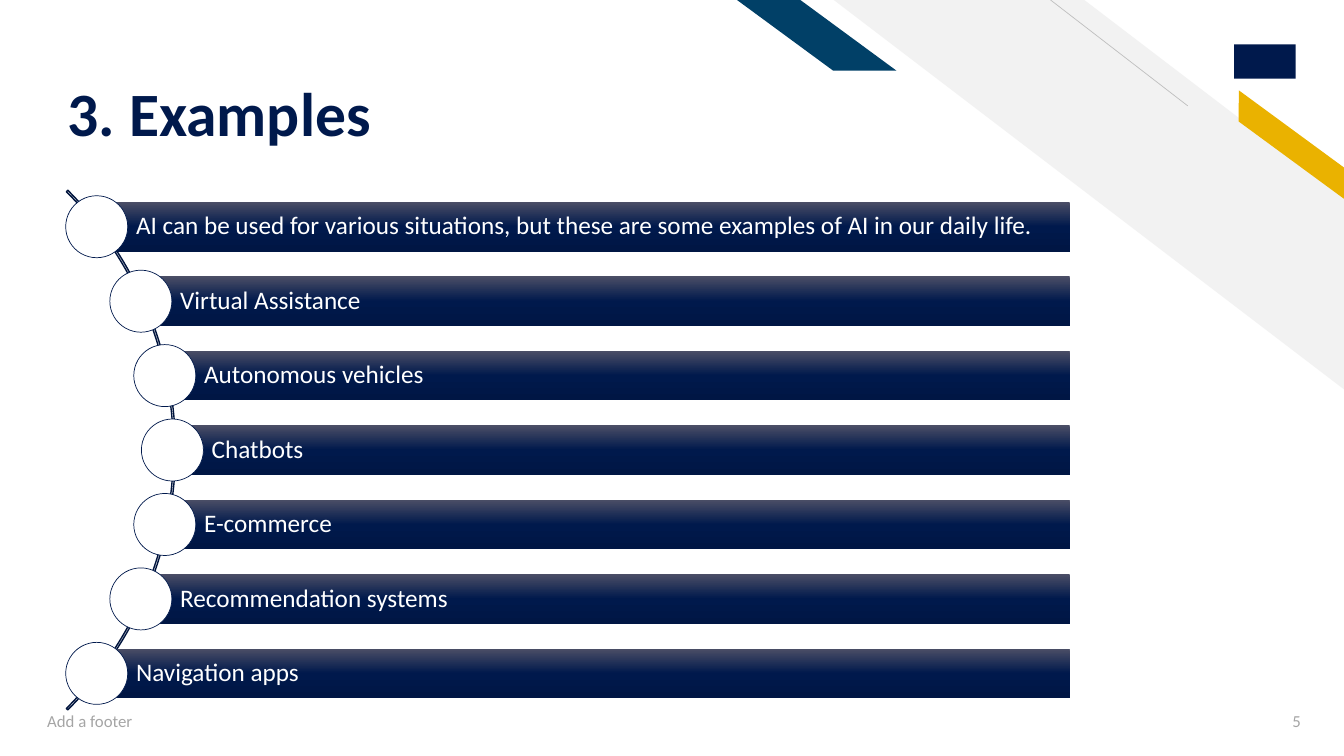
from collections import namedtuple
from copy import deepcopy
from math import sqrt

from lxml import etree
from pptx import Presentation
from pptx import util as u
from pptx.dml.color import RGBColor
from pptx.enum import shapes, text
from pptx.oxml.ns import qn

Box = namedtuple("Box", "left top width height")
SLIDE = Box(0, 0, 13.33, 7.5)
FONT = "Calibri"
COLORS = {
    "navy": "00194C", "arc": "00143D", "bar_top": "4B4E66", "bar_foot": "001644",
    "white": "FFFFFF", "stripe": "F2F2F2", "hairline": "BFBFBF",
    "gold": "EAB200", "teal": "014067", "footer": "A5A5A5",
}
EXAMPLES = [
    "AI can be used for various situations, but these are some examples of AI in our daily life.",
    "Virtual Assistance",
    "Autonomous vehicles",
    "Chatbots",
    "E-commerce",
    "Recommendation systems",
    "Navigation apps",
]


def color(name):
    """Return the named colour."""
    return RGBColor.from_string(COLORS[name])


def inches(values):
    """Convert a row of lengths to slide units."""
    return [u.Inches(value) for value in values]


def add_figure(page, kind, box, fill=None, line=None, weight=0.5, adjust=(), flip=False):
    """Add a preset shape with flat fill and outline."""
    figure = page.shapes.add_shape(kind, *inches(box))
    figure.shadow.inherit = False
    for index, value in enumerate(adjust):
        figure.adjustments[index] = value
    if fill:
        figure.fill.solid()
        figure.fill.fore_color.rgb = color(fill)
    else:
        figure.fill.background()
    if line:
        figure.line.color.rgb = color(line)
        figure.line.width = u.Pt(weight)
    else:
        figure.line.fill.background()
    if flip:
        figure.element.spPr.find(qn("a:xfrm")).set("flipH", "1")
    return figure


def write(frame, words, size, ink, align=text.PP_ALIGN.LEFT):
    """Fill a text frame with one paragraph."""
    frame.word_wrap = True
    frame.vertical_anchor = text.MSO_ANCHOR.MIDDLE
    para = frame.paragraphs[0]
    para.text = words
    para.alignment = align
    para.font.name = FONT
    para.font.size = u.Pt(size)
    para.font.color.rgb = color(ink)
    return para


def shade(bar):
    """Give a bar its three-stop vertical gradient."""
    bar.fill.gradient()
    bar.fill.gradient_angle = 270
    first = bar.element.spPr.find(".//" + qn("a:gs"))
    first.addnext(deepcopy(first))
    names = ("bar_top", "navy", "bar_foot")
    for index, (stop, name) in enumerate(zip(bar.fill.gradient_stops, names)):
        stop.position = index / 2
        stop.color.rgb = color(name)


def add_decoration(page, box):
    """Draw the diagonal bands in the top right of the box."""
    right = box.left + box.width
    kinds = shapes.MSO_SHAPE
    add_figure(page, kinds.DIAGONAL_STRIPE, Box(right - 5.06, box.top, 5.07, 3.87),
               "stripe", adjust=[0.51], flip=True)
    hairline = page.shapes.add_connector(
        shapes.MSO_CONNECTOR.STRAIGHT,
        *inches((right - 1.55, box.top + 1.05, right - 2.91, box.top)))
    hairline.line.color.rgb = color("hairline")
    hairline.line.width = u.Pt(0.5)
    etree.SubElement(hairline.element.spPr, qn("a:effectLst"))
    gold = add_figure(page, kinds.PARALLELOGRAM, Box(right - 1.26, box.top + 1.31, 1.48, 0.25),
                      "gold", adjust=[0.72], flip=True)
    gold.rotation = 36.3
    add_figure(page, kinds.PARALLELOGRAM, Box(right - 6.02, box.top, 1.58, 0.7),
               "teal", adjust=[1.36], flip=True)
    add_figure(page, kinds.RECTANGLE, Box(right - 1.09, box.top + 0.44, 0.61, 0.34), "navy")


def add_title(page, box):
    """Place the slide title at the foot of the box."""
    title = page.shapes.title
    title.left, title.top, title.width, title.height = inches(box)
    frame = title.text_frame
    para = write(frame, "3. Examples", 44, "navy")
    para.font.bold = True
    para.line_spacing = 0.9
    frame.auto_size = text.MSO_AUTO_SIZE.NONE
    frame.vertical_anchor = text.MSO_ANCHOR.BOTTOM
    frame.margin_bottom = 0


def add_footer(page, box):
    """Write the footer and the page number at the two ends of the box."""
    number_width = 0.81
    ends = [
        ("Add a footer", box.left, 4.5, text.PP_ALIGN.LEFT),
        ("5", box.left + box.width - number_width, number_width, text.PP_ALIGN.RIGHT),
    ]
    for words, left, width, align in ends:
        note = page.shapes.add_textbox(*inches((left, box.top, width, box.height)))
        write(note.text_frame, words, 12, "footer", align)


def add_examples(page, box):
    """Stack the example bars with their dots strung along an arc."""
    kinds = shapes.MSO_SHAPE
    pitch = box.height / len(EXAMPLES)
    bar_height, dot = pitch * 2 / 3, pitch * 5 / 6
    diameter, bulge = 7.29, 1.73
    radius = diameter / 2
    center_x = box.left + bulge - dot - radius + 0.01
    center_x = 1.74 - radius
    center_y = box.top + box.height / 2
    add_figure(page, kinds.BLOCK_ARC,
               Box(center_x - radius, center_y - radius, diameter, diameter),
               line="arc", weight=1, adjust=[189, 27, 0.02 / diameter])
    for row, words in enumerate(EXAMPLES):
        middle = box.top + (row + 0.5) * pitch
        start = center_x - 0.03 + sqrt(radius ** 2 - (middle - center_y) ** 2)
        bar = add_figure(page, kinds.RECTANGLE,
                         Box(start, middle - bar_height / 2,
                             box.left + box.width - start, bar_height), "navy")
        shade(bar)
        write(bar.text_frame, words, 18, "white").line_spacing = 0.9
        bar.text_frame.margin_left = u.Inches(0.39)
        bar.text_frame.margin_right = u.Inches(0.05)
        add_figure(page, kinds.OVAL, Box(start - dot / 2, middle - dot / 2, dot, dot),
                   "white", "navy")


def main():
    """Build and save the slide."""
    deck = Presentation()
    deck.slide_width, deck.slide_height = inches((SLIDE.width, SLIDE.height))
    page = deck.slides.add_slide(deck.slide_layouts.get_by_name("Title Only"))
    add_decoration(page, SLIDE)
    add_title(page, Box(0.57, 0.23, 9.11, 1.26))
    add_footer(page, Box(0.37, 6.95, 12.63, 0.4))
    add_examples(page, Box(0.64, 1.88, 9.97, 5.17))
    deck.save("out.pptx")


if __name__ == "__main__":
    main()
